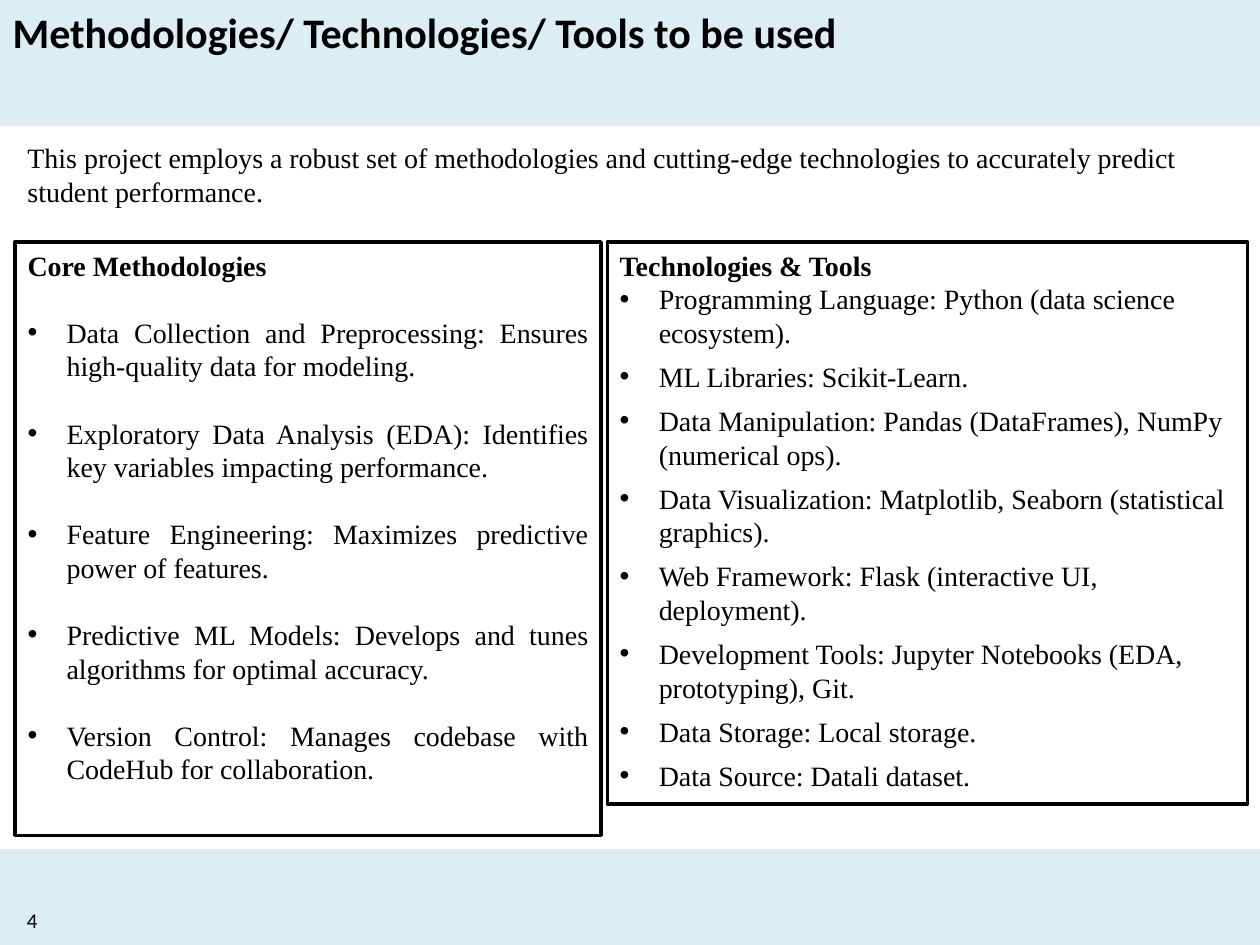
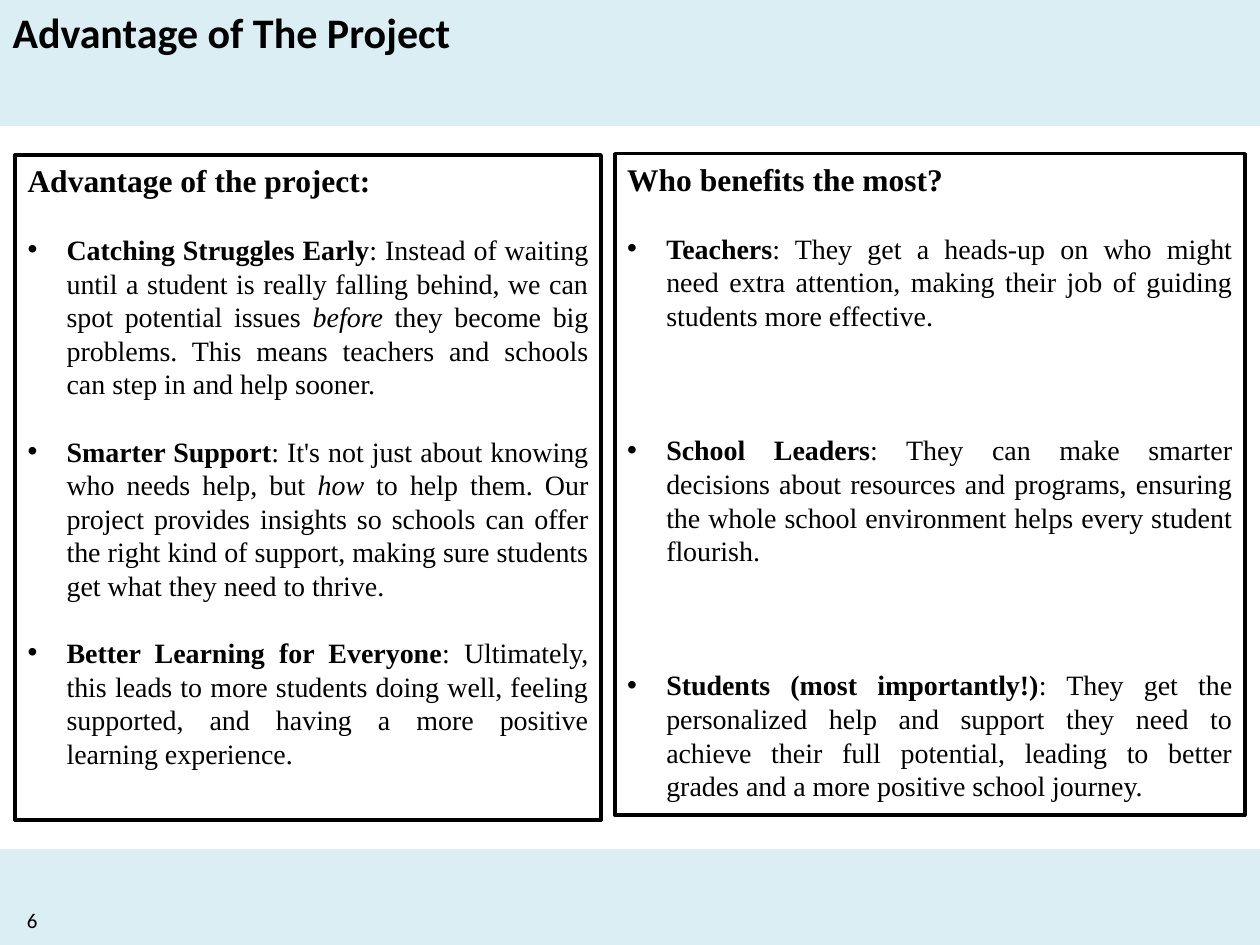
import pptx
import pptx.dml.color
import pptx.enum.shapes
import pptx.enum.text
import pptx.oxml.xmlchemy
import pptx.util
from lxml import etree

# Shared look: the slide is a grid of 100 columns by 75 rows
COLUMNS, ROWS = 100, 75
SLIDE_WIDTH, SLIDE_HEIGHT = pptx.util.Inches(10), pptx.util.Inches(7.5)
BAND, BLACK, WHITE = "DBEEF4", "000000", "FFFFFF"
TITLE_FONT, BODY_FONT = "Calibri", "Times New Roman"
BODY_SIZE = 16
BLANK_LINE = 19.2
BULLET_INDENT = 0.31
LEFT, RIGHT, JUSTIFY, CENTER = (
    getattr(pptx.enum.text.PP_ALIGN, name)
    for name in ("LEFT", "RIGHT", "JUSTIFY", "CENTER"))

INTRO = ("This project employs a robust set of methodologies and cutting-edge "
         "technologies to accurately predict student performance.")

# Each point is a bold lead and a text, in which *stars* mark italics
METHODOLOGIES = [
    ("", "Data Collection and Preprocessing: Ensures high-quality data for modeling."),
    ("", "Exploratory Data Analysis (EDA): Identifies key variables impacting performance."),
    ("", "Feature Engineering: Maximizes predictive power of features."),
    ("", "Predictive ML Models: Develops and tunes algorithms for optimal accuracy."),
    ("", "Version Control: Manages codebase with CodeHub for collaboration."),
]
TOOLS = [
    ("", "Programming Language: Python (data science ecosystem)."),
    ("", "ML Libraries: Scikit-Learn."),
    ("", "Data Manipulation: Pandas (DataFrames), NumPy (numerical ops)."),
    ("", "Data Visualization: Matplotlib, Seaborn (statistical graphics)."),
    ("", "Web Framework: Flask (interactive UI, deployment)."),
    ("", "Development Tools: Jupyter Notebooks (EDA, prototyping), Git."),
    ("", "Data Storage: Local storage."),
    ("", "Data Source: Datali dataset."),
]
ADVANTAGES = [
    ("Catching Struggles Early",
     ": Instead of waiting until a student is really falling behind, we can spot "
     "potential issues *before* they become big problems. This means teachers and "
     "schools can step in and help sooner."),
    ("Smarter Support",
     ": It's not just about knowing who needs help, but *how* to help them. Our "
     "project provides insights so schools can offer the right kind of support, "
     "making sure students get what they need to thrive."),
    ("Better Learning for Everyone",
     ": Ultimately, this leads to more students doing well, feeling supported, and "
     "having a more positive learning experience."),
]
BENEFICIARIES = [
    ("Teachers",
     ": They get a heads-up on who might need extra attention, making their job of "
     "guiding students more effective."),
    ("School Leaders",
     ": They can make smarter decisions about resources and programs, ensuring the "
     "whole school environment helps every student flourish."),
    ("Students (most importantly!)",
     ": They get the personalized help and support they need to achieve their full "
     "potential, leading to better grades and a more positive school journey."),
]


def color(hex_string):
    return pptx.dml.color.RGBColor.from_string(hex_string)


def grid(left, top, width, height):
    """Turn columns and rows into lengths on the slide."""
    column, row = SLIDE_WIDTH / COLUMNS, SLIDE_HEIGHT / ROWS
    return [round(length) for length in
            (left * column, top * row, width * column, height * row)]


def style(span, font=BODY_FONT, size=BODY_SIZE, bold=False, italic=False):
    span.font.name = font
    span.font.size = pptx.util.Pt(size)
    span.font.bold = bold
    span.font.italic = italic
    span.font.color.rgb = color(BLACK)


def write(para, text, align=LEFT, **look):
    para.text = text
    para.alignment = align
    for span in para.runs:
        style(span, **look)


def add_span(para, text, **look):
    if text:
        span = para.add_run()
        span.text = text
        style(span, **look)


def add_rectangle(page, place, fill, line=None):
    box = page.shapes.add_shape(pptx.enum.shapes.MSO_SHAPE.RECTANGLE, *grid(*place))
    box.shadow.inherit = False
    box.fill.solid()
    box.fill.fore_color.rgb = color(fill)
    if line:
        box.line.color.rgb = color(line)
        box.line.width = pptx.util.Pt(2)
    else:
        box.line.fill.background()
    return box


def add_text(page, place, text, anchor=pptx.enum.text.MSO_ANCHOR.TOP, **look):
    box = page.shapes.add_textbox(*grid(*place))
    box.text_frame.word_wrap = True
    box.text_frame.vertical_anchor = anchor
    write(box.text_frame.paragraphs[0], text, **look)


def set_bullet(para):
    properties = para._p.get_or_add_pPr()
    indent = pptx.util.Inches(BULLET_INDENT)
    properties.set("marL", str(indent))
    properties.set("indent", str(-indent))
    for tag, name, value in (("buFont", "typeface", "Arial"), ("buChar", "char", "•")):
        etree.SubElement(properties, pptx.oxml.ns.qn("a:" + tag)).set(name, value)


def add_panel(page, place, heading, points, heading_size=BODY_SIZE, align=JUSTIFY,
              first_gap=BLANK_LINE, gap=BLANK_LINE):
    """Draw a framed box with a heading and bulleted points."""
    frame = add_rectangle(page, place, WHITE, BLACK).text_frame
    frame.word_wrap = True
    frame.vertical_anchor = pptx.enum.text.MSO_ANCHOR.TOP
    write(frame.paragraphs[0], heading, size=heading_size, bold=True)
    for index, (lead, text) in enumerate(points):
        para = frame.add_paragraph()
        para.alignment = align
        para.space_before = pptx.util.Pt(gap if index else first_gap)
        set_bullet(para)
        add_span(para, lead, bold=True)
        for part, words in enumerate(text.split("*")):
            add_span(para, words, italic=part % 2 == 1)


def add_page(deck, title, number):
    """Add a slide with its bands, title and page number."""
    page = deck.slides.add_slide(deck.slide_layouts[5])
    heading = page.shapes.title
    # Bands lie behind the title
    for place in ((0, 0, COLUMNS, 10), (0, 67.4, COLUMNS, 7.6)):
        band = add_rectangle(page, place, BAND)
        heading._element.addprevious(band._element)
    heading.left, heading.top, heading.width, heading.height = grid(0, 0, 67.5, 5)
    frame = heading.text_frame
    frame.auto_size = pptx.enum.text.MSO_AUTO_SIZE.NONE
    frame.vertical_anchor = pptx.enum.text.MSO_ANCHOR.TOP
    write(frame.paragraphs[0], title, font=TITLE_FONT, size=24, bold=True)
    add_text(page, (0, 71, 5.1, 4), number, pptx.enum.text.MSO_ANCHOR.MIDDLE,
             align=CENTER, font=TITLE_FONT, size=12)
    return page


def main():
    deck = pptx.Presentation()
    deck.slide_width, deck.slide_height = SLIDE_WIDTH, SLIDE_HEIGHT

    # Methodologies and tools
    page = add_page(deck, "Methodologies/ Technologies/ Tools to be used", "4")
    add_text(page, (1.2, 10.7, 97.6, 6.4), INTRO)
    add_panel(page, (1.2, 19.2, 46.5, 47.1), "Core Methodologies", METHODOLOGIES)
    add_panel(page, (48.2, 19.2, 50.8, 44.6), "Technologies & Tools", TOOLS,
              align=LEFT, first_gap=0, gap=6)

    # Advantages and who gains from them
    page = add_page(deck, "Advantage of The Project", "6")
    add_panel(page, (1.2, 12.3, 46.5, 52.8), "Advantage of the project:", ADVANTAGES,
              heading_size=18)
    add_panel(page, (48.8, 12.2, 50, 52.5), "Who benefits the most?", BENEFICIARIES,
              heading_size=18, gap=3 * BLANK_LINE)

    deck.save("out.pptx")


if __name__ == "__main__":
    main()
